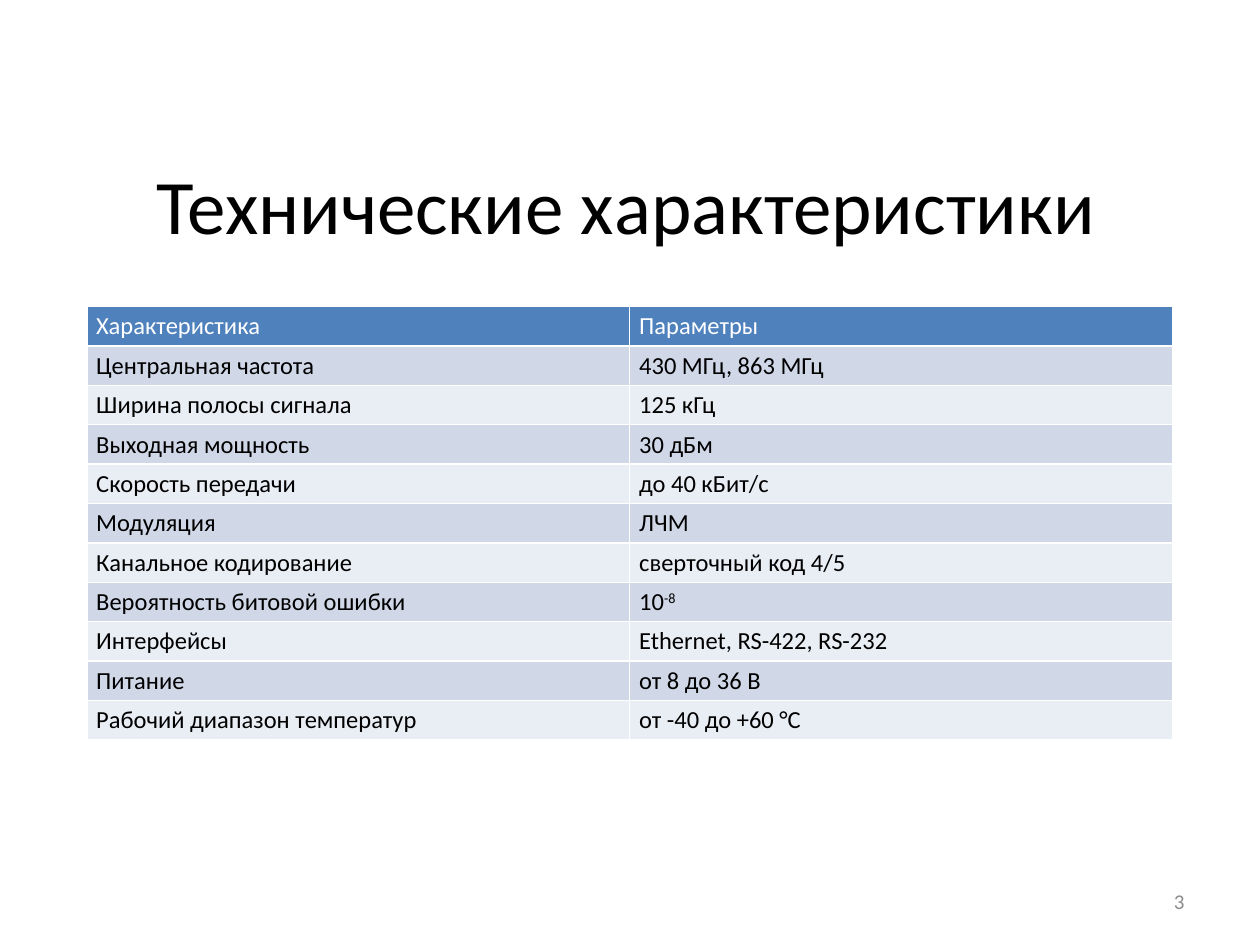
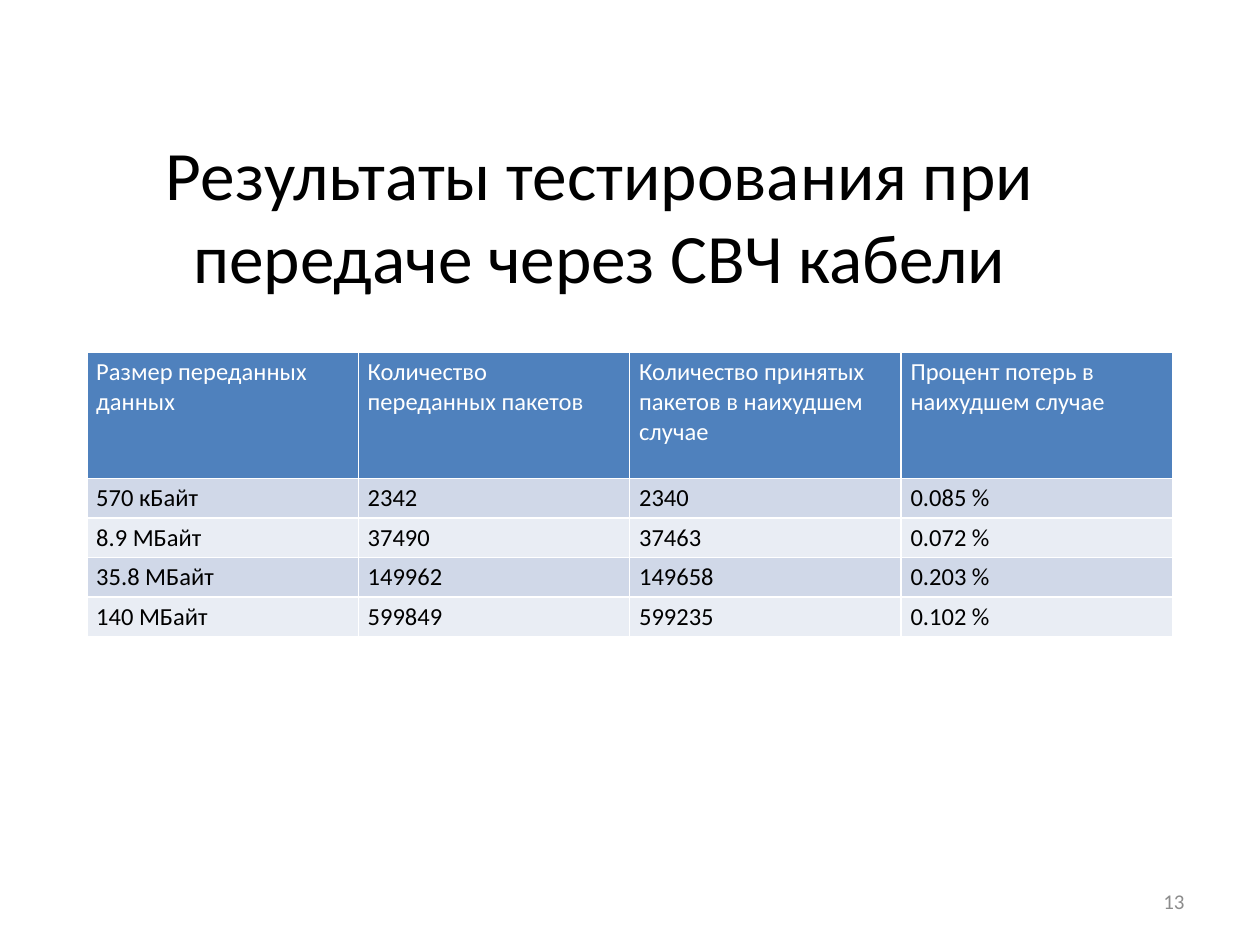
from dataclasses import dataclass

from lxml import etree
from pptx import Presentation
from pptx.dml.color import RGBColor
from pptx.enum.text import MSO_ANCHOR, PP_ALIGN
from pptx.oxml.ns import qn
from pptx.util import Cm, Pt

MIDDLE = MSO_ANCHOR.MIDDLE
CENTER, RIGHT = PP_ALIGN.CENTER, PP_ALIGN.RIGHT
BLANK = 6


@dataclass(frozen=True)
class Theme:
    font: str = "Calibri"
    ink: str = "000000"
    paper: str = "FFFFFF"
    head: str = "4F81BD"
    bands: tuple = ("D0D8E8", "E9EDF4")
    gray: str = "8C8C8C"
    title: float = 44
    small: float = 39.6
    body: float = 14
    foot: float = 12
    rule: float = 1


THEME = Theme()
ROW = 0.79
FOOT = (18.21, 17.65, 5.92, 1.02)
CELL = {
    "margin_left": Cm(0.19), "margin_right": Cm(0.19),
    "margin_top": Cm(0.1), "margin_bottom": Cm(0.1),
}
FRAME = {"word_wrap": True, "vertical_anchor": MIDDLE}

SPECS = [
    ("Характеристика", "Параметры"),
    ("Центральная частота", "430 МГц, 863 МГц"),
    ("Ширина полосы сигнала", "125 кГц"),
    ("Выходная мощность", "30 дБм"),
    ("Скорость передачи", "до 40 кБит/с"),
    ("Модуляция", "ЛЧМ"),
    ("Канальное кодирование", "сверточный код 4/5"),
    ("Вероятность битовой ошибки", "10^-8"),
    ("Интерфейсы", "Ethernet, RS-422, RS-232"),
    ("Питание", "от 8 до 36 В"),
    ("Рабочий диапазон температур", "от -40 до +60 °C"),
]
TESTS = [
    ("Размер переданных данных", "Количество переданных пакетов",
     "Количество принятых пакетов в наихудшем случае",
     "Процент потерь в наихудшем случае"),
    ("570 кБайт", "2342", "2340", "0.085 %"),
    ("8.9 МБайт", "37490", "37463", "0.072 %"),
    ("35.8 МБайт", "149962", "149658", "0.203 %"),
    ("140 МБайт", "599849", "599235", "0.102 %"),
]


def apply(item, form):
    for name, value in form.items():
        setattr(item, name, value)


def write(para, text, size, color):
    """Write text; the part after ^ is raised."""
    for level, part in enumerate(text.split("^")):
        run = para.add_run()
        run.text = part
        apply(run.font, {"name": THEME.font, "size": Pt(size)})
        run.font.color.rgb = RGBColor.from_string(color)
        if level:
            run.font._element.set("baseline", "30000")


def add_text(slide, box, text, size, color, align):
    frame = slide.shapes.add_textbox(*map(Cm, box)).text_frame
    apply(frame, FRAME)
    para = frame.paragraphs[0]
    para.alignment = align
    write(para, text, size, color)


def add_edges(cell):
    """Draw the four borders of a cell, ahead of its fill."""
    props = cell._tc.get_or_add_tcPr()
    for place, tag in enumerate(("lnL", "lnR", "lnT", "lnB")):
        line = etree.Element(qn("a:" + tag), w=str(Pt(THEME.rule)))
        fill = etree.SubElement(line, qn("a:solidFill"))
        etree.SubElement(fill, qn("a:srgbClr"), val=THEME.paper)
        props.insert(place, line)


def add_grid(slide, box, rows, top):
    """Fill the box width with equal columns; top is the header height."""
    left, y, width = box
    count = len(rows[0])
    high = top + ROW * (len(rows) - 1)
    grid = slide.shapes.add_table(
        len(rows), count, *map(Cm, (left, y, width, high))).table
    for col in grid.columns:
        col.width = Cm(width / count)
    for r, texts in enumerate(rows):
        grid.rows[r].height = Cm(ROW if r else top)
        fill = THEME.bands[(r - 1) % 2] if r else THEME.head
        color = THEME.ink if r else THEME.paper
        for c, text in enumerate(texts):
            cell = grid.cell(r, c)
            apply(cell, CELL)
            cell.fill.solid()
            cell.fill.fore_color.rgb = RGBColor.from_string(fill)
            add_edges(cell)
            write(cell.text_frame.paragraphs[0], text, THEME.body, color)


def add_page(deck, title, box, size, rows, y, top, number):
    slide = deck.slides.add_slide(deck.slide_layouts[BLANK])
    # Title
    add_text(slide, box, title, size, THEME.ink, CENTER)
    # Table
    add_grid(slide, (1.75, y, 21.89), rows, top)
    # Page number
    add_text(slide, FOOT, number, THEME.foot, THEME.gray, RIGHT)


def main():
    deck = Presentation()
    apply(deck, {"slide_width": Cm(25.4), "slide_height": Cm(19.05)})
    add_page(deck, "Технические характеристики", (1.2, 2.52, 22.86, 3.18),
             THEME.title, SPECS, 6.18, ROW, "3")
    add_page(deck, "Результаты тестирования при передаче через СВЧ кабели",
             (1.14, 2.94, 21.9, 2.77), THEME.small, TESTS, 7.11, 2.54, "13")
    deck.save("out.pptx")


if __name__ == "__main__":
    main()
